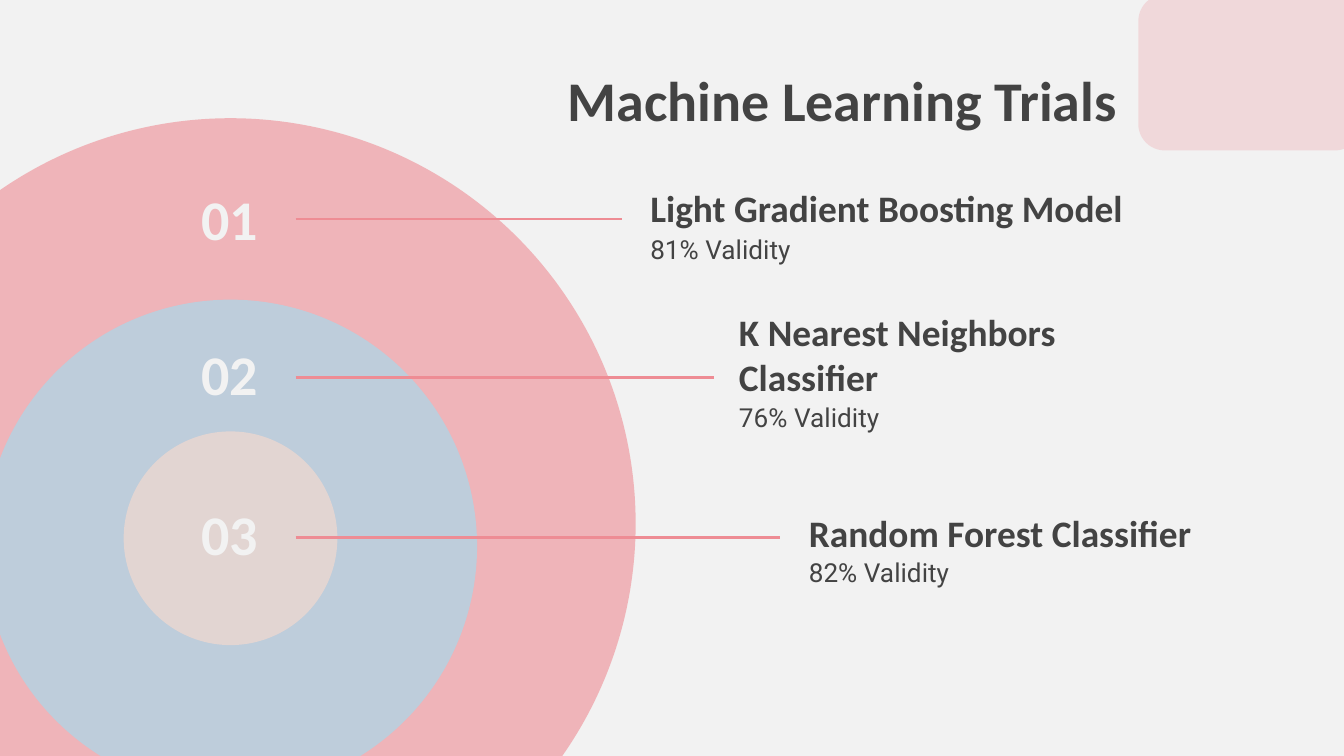
from lxml import etree
from pptx import Presentation
from pptx.dml.color import RGBColor
from pptx.enum import shapes, text
from pptx.oxml.ns import qn
from pptx.util import Inches, Pt

# Content: number, number top, line y, line end, name box, score top and width
title = "Machine Learning Trials"
trials = [
    dict(num="01", top=1.34, y=1.63, end=4.63, name="Light Gradient Boosting Model",
         box=(4.74, 1.18, 3.85), score="81% Validity", low=1.64, wide=3.85),
    dict(num="02", top=2.5, y=2.81, end=5.31, name="K Nearest Neighbors Classifier",
         box=(5.4, 2.44, 3.6), score="76% Validity", low=2.89, wide=3.52),
    dict(num="03", top=3.69, y=4, end=5.8, name="Random Forest Classifier",
         box=(5.92, 3.6, 3.29), score="82% Validity", low=4.04, wide=2.67),
]
# Rings: left, top, diameter, colour, opacity
rings = [
    (-1.3, 0.88, 6.03, "pink", 60),
    (-0.12, 2.23, 3.67, "blue", 74),
    (0.92, 3.21, 1.59, "sand", 71),
]

theme = dict(
    back="F2F2F2", ink="434343", pink="EE8C94", blue="AED7E8", sand="F2D9CF",
    head="Calibri", body="Roboto", big=30, mid=20, small=14, line=1.5,
)

# Wide page, 16 to 9
deck = Presentation()
deck.slide_width = Inches(10)
deck.slide_height = Inches(10 * 9 / 16)
slide = deck.slides.add_slide(deck.slide_layouts[6])


def color(name):
    return RGBColor.from_string(theme[name])


def block(kind, box, fill, alpha):
    item = slide.shapes.add_shape(kind, *map(Inches, box))
    item.shadow.inherit = False
    item.line.fill.background()
    item.fill.solid()
    item.fill.fore_color.rgb = color(fill)
    tint = item._element.spPr.find(".//" + qn("a:srgbClr"))
    etree.SubElement(tint, qn("a:alpha")).set("val", str(alpha * 1000))
    return item


def label(words, box, size, font="head", tone="ink", align="LEFT", anchor="BOTTOM"):
    frame = slide.shapes.add_textbox(*map(Inches, box)).text_frame
    frame.word_wrap = True
    frame.auto_size = text.MSO_AUTO_SIZE.NONE
    frame.vertical_anchor = text.MSO_ANCHOR[anchor]
    frame.margin_left = frame.margin_right = Inches(0.1)
    frame.margin_top = frame.margin_bottom = Inches(0.1)
    frame.text = words
    line = frame.paragraphs[0]
    line.alignment = text.PP_ALIGN[align]
    face = line.runs[0].font
    face.name, face.size = theme[font], Pt(theme[size])
    face.bold = font == "head"
    face.color.rgb = color(tone)


def rule(left, right, y):
    line = slide.shapes.add_connector(
        shapes.MSO_CONNECTOR.STRAIGHT, Inches(left), Inches(y), Inches(right), Inches(y))
    line.line.color.rgb = color("pink")
    line.line.width = Pt(theme["line"])
    etree.SubElement(line._element.spPr, qn("a:effectLst"))


# Background, corner block and title
slide.background.fill.solid()
slide.background.fill.fore_color.rgb = color("back")
corner = block(shapes.MSO_SHAPE.ROUNDED_RECTANGLE, (8.47, -0.04, 1.66, 1.16), "pink", 25)
corner.adjustments[0] = 0.17
label(title, (3.49, 0.39, 4.92, 1.02), "big", align="RIGHT", anchor="TOP")

# Rings
for left, top, size, fill, alpha in rings:
    block(shapes.MSO_SHAPE.OVAL, (left, top, size, size), fill, alpha)

# Trials: number, line, name and score
for row in trials:
    left, top, wide = row["box"]
    label(row["num"], (1.32, row["top"], 0.78, 0.63), "big", tone="back", align="CENTER")
    rule(2.2, row["end"], row["y"])
    label(row["name"], (left, top, wide, 0.63), "mid")
    label(row["score"], (left, row["low"], row["wide"], 0.96), "small", "body", anchor="TOP")

deck.save("out.pptx")
